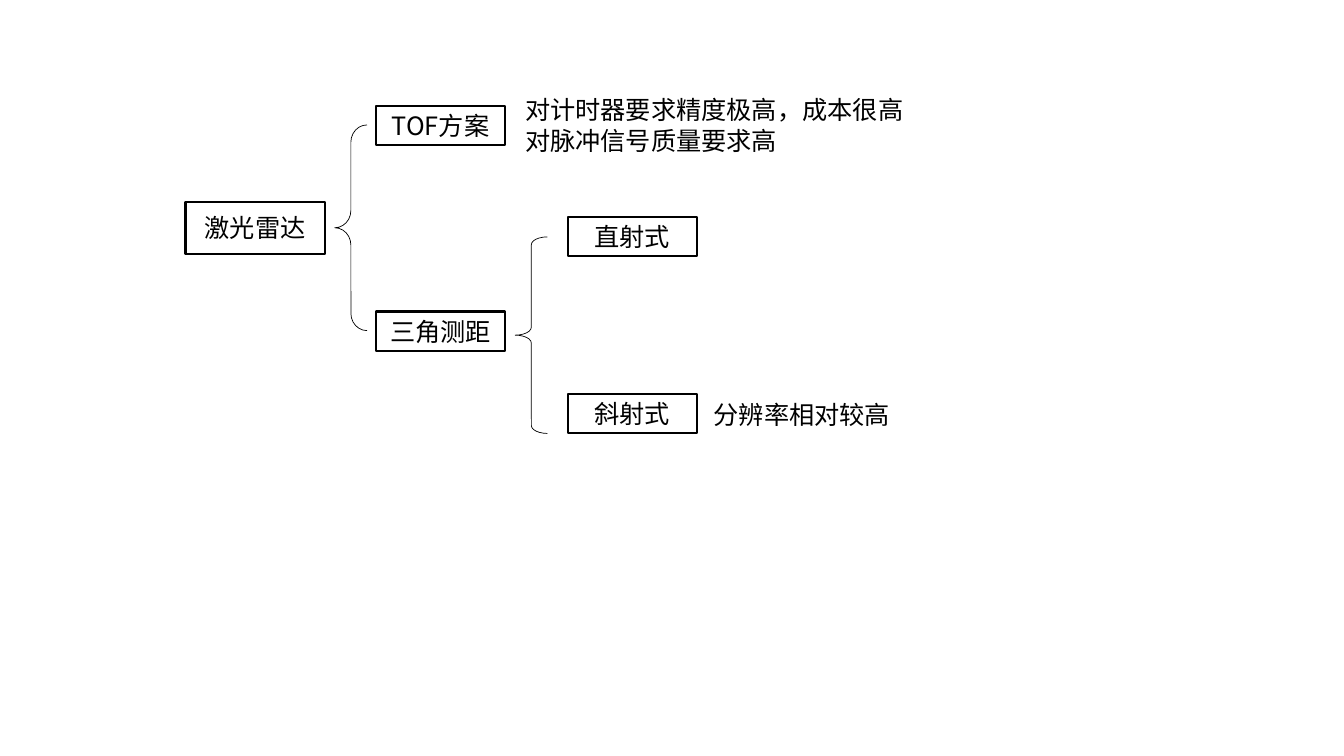
from lxml.etree import SubElement
from pptx import Presentation
from pptx.dml.color import RGBColor
from pptx.enum.shapes import MSO_SHAPE as Shape
from pptx.enum.text import MSO_ANCHOR as Anchor, MSO_AUTO_SIZE as AutoSize, PP_ALIGN as Align
from pptx.oxml.ns import qn
from pptx.util import Inches, Pt

FONT, SIZE = "Noto Sans CJK SC", 18
BLACK, WHITE = "000000", "FFFFFF"

# Left edges of the tree levels, and the size of a branch box
ROOT_X, METHOD_X, TYPE_X = 1.84, 3.73, 5.63
BOX_W, BOX_H = 1.28, 0.39
BRACE_W, NOTE_W = 0.32, 4.32

# text, left, top, width, height
BOXES = [
    ("激光雷达", ROOT_X, 2.0, 1.38, 0.52),
    ("TOF方案", METHOD_X, 1.05, BOX_W, BOX_H),
    ("三角测距", METHOD_X, 3.09, BOX_W, BOX_H),
    ("直射式", TYPE_X, 2.15, BOX_W, BOX_H),
    ("斜射式", TYPE_X, 3.91, BOX_W, BOX_H),
]
# lines, left, top, height
NOTES = [
    (["对计时器要求精度极高，成本很高", "对脉冲信号质量要求高"], 5.11, 0.89, 0.71),
    (["分辨率相对较高"], 6.98, 3.91, 0.4),
]
# left, top, height, curl
BRACES = [(3.32, 1.24, 2.04, 0.535), (5.11, 2.35, 1.95, 0.245)]


def color(value):
    return RGBColor.from_string(value)


def write(frame, lines, align):
    frame.word_wrap = True
    for index, line in enumerate(lines):
        para = frame.add_paragraph() if index else frame.paragraphs[0]
        para.alignment = align
        span = para.add_run()
        span.text = line
        span.font.size = Pt(SIZE)
        span.font.name = FONT
        span.font.color.rgb = color(BLACK)
        SubElement(span.font._element, qn("a:ea"), typeface=FONT)


def add_outline(tree, kind, left, top, width, height, weight):
    shape = tree.shapes.add_shape(kind, *map(Inches, (left, top, width, height)))
    shape.shadow.inherit = False
    shape.line.color.rgb = color(BLACK)
    shape.line.width = Pt(weight)
    return shape


def add_box(tree, text, *place):
    box = add_outline(tree, Shape.RECTANGLE, *place, 1.5)
    box.fill.solid()
    box.fill.fore_color.rgb = color(WHITE)
    box.text_frame.vertical_anchor = Anchor.MIDDLE
    write(box.text_frame, [text], Align.CENTER)


def add_brace(tree, left, top, height, curl):
    brace = add_outline(tree, Shape.LEFT_BRACE, left, top, BRACE_W, height, 0.5)
    brace.fill.background()
    brace.adjustments[0] = curl
    brace.adjustments[1] = 0.5


def add_note(tree, lines, left, top, height):
    note = tree.shapes.add_textbox(*map(Inches, (left, top, NOTE_W, height)))
    write(note.text_frame, lines, Align.LEFT)
    note.text_frame.auto_size = AutoSize.SHAPE_TO_FIT_TEXT


def main():
    deck = Presentation()
    deck.slide_width, deck.slide_height = Inches(13.33), Inches(7.5)
    page = deck.slides.add_slide(deck.slide_layouts[6])
    tree = page.shapes.add_group_shape()
    for add, items in ((add_box, BOXES), (add_brace, BRACES), (add_note, NOTES)):
        for item in items:
            add(tree, *item)
    deck.save("out.pptx")


if __name__ == "__main__":
    main()
